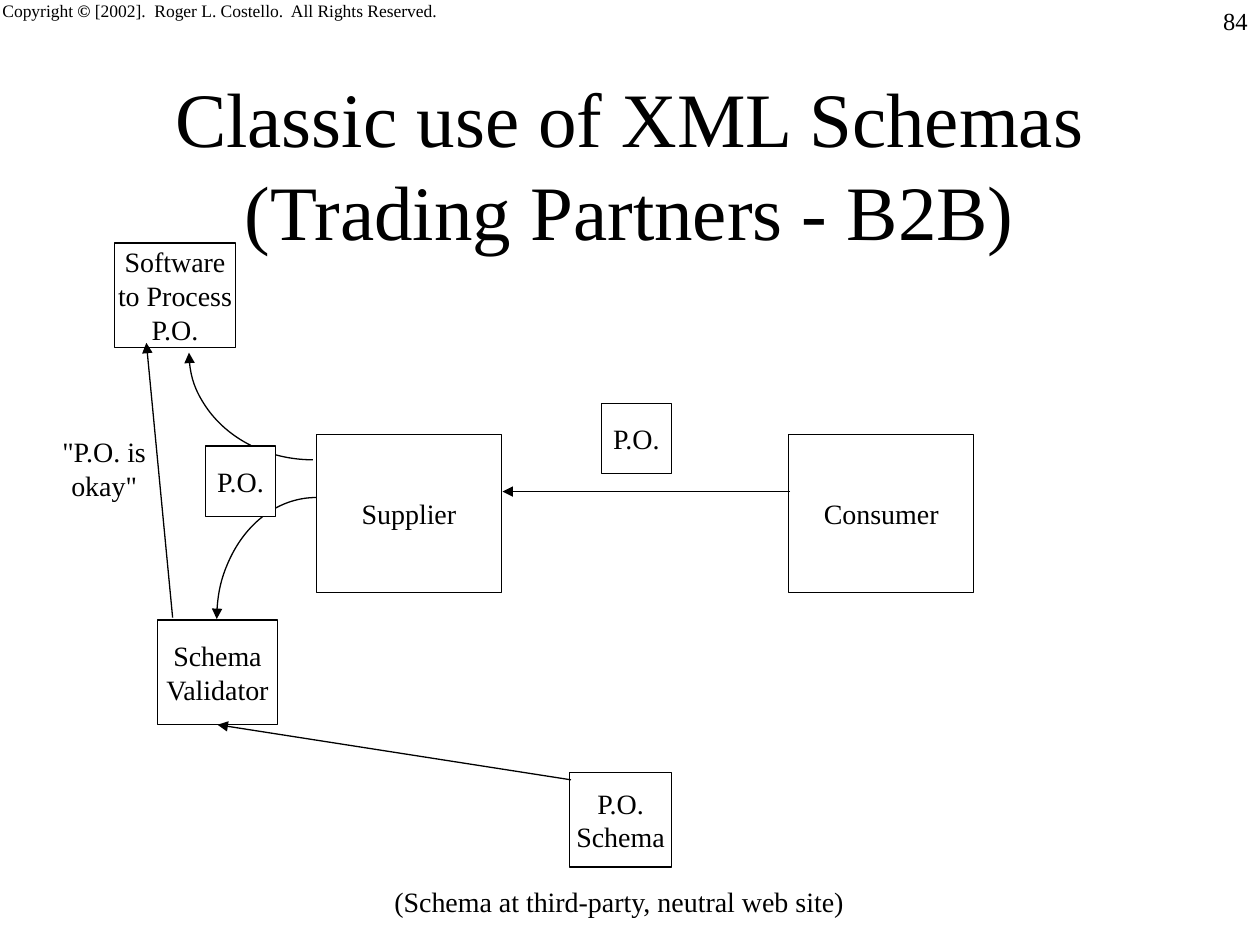
from lxml import etree
from pptx import Presentation
from pptx.dml.color import RGBColor
from pptx.enum.shapes import MSO_CONNECTOR, MSO_SHAPE
from pptx.enum.text import MSO_ANCHOR, PP_ALIGN
from pptx.oxml.ns import qn
from pptx.util import Cm, Pt

LEFT, CENTER, RIGHT = PP_ALIGN.LEFT, PP_ALIGN.CENTER, PP_ALIGN.RIGHT
TOP, MIDDLE = MSO_ANCHOR.TOP, MSO_ANCHOR.MIDDLE
BOTTOM_SITE = 2

FONT = "Times New Roman"
BLACK, WHITE = "000000", "FFFFFF"

# All places are in centimetres: left, top, width, height
TITLE = ("Classic use of XML Schemas", "(Trading Partners - B2B)")
TITLE_PLACE = (1.9, 1.7, 21.59, 3.18)

COPYRIGHT = [("Copyright ", False), ("©", True),
             (" [2002].  Roger L. Costello.  All Rights Reserved.", False)]
COPYRIGHT_PLACE = (0.05, 0, 9, 0.42)

PARTNER_SIZE = (3.73, 3.18)
ORDER_SIZE = (1.42, 1.42)
BOXES = {
    "supplier": (["Supplier"], (6.38, 8.76, *PARTNER_SIZE)),
    "consumer": (["Consumer"], (15.9, 8.76, *PARTNER_SIZE)),
    "sent order": (["P.O."], (12.12, 8.13, *ORDER_SIZE)),
    "received order": (["P.O."], (4.14, 8.99, *ORDER_SIZE)),
    "validator": (["Schema", "Validator"], (3.18, 12.5, 2.41, 2.11)),
    "schema": (["P.O.", "Schema"], (11.48, 15.57, 2.06, 1.91)),
    "software": (["Software", "to Process", "P.O."], (2.31, 4.9, 2.44, 2.11)),
}

# from, to, box whose bottom the arrow joins
ARROWS = [
    ((15.93, 9.91), (10.13, 9.91), None),
    ((11.51, 15.72), (4.37, 14.55), "validator"),
    ((3.48, 12.45), (2.95, 6.91), None),
]

# place of the whole ellipse, start and end angle, end with the arrowhead
ARCS = [
    ((4.37, 10.03, 4.01, 4.9), (180, 270), "headEnd"),
    ((3.81, 4.95, 5, 4.32), (90, 180), "tailEnd"),
]

# lines, place, size, alignment
LABELS = [
    (['"P.O. is', 'okay"'], (0.97, 8.64, 2.26, 1.63), 16, CENTER),
    (["(Schema at third-party, neutral web site)"], (7.7, 17.7, 9.6, 0.94), 16, LEFT),
    (["84"], (20.12, 0, 5.28, 1.27), 14, RIGHT),
]


def color(hex_code):
    return RGBColor.from_string(hex_code)


def cm(values):
    return [Cm(value) for value in values]


def add_run(paragraph, text, size, bold=False):
    run = paragraph.add_run()
    run.text = text
    run.font.name = FONT
    run.font.size = Pt(size)
    run.font.bold = bold
    run.font.color.rgb = color(BLACK)


def write_lines(frame, lines, size, align, anchor, wrap=False):
    """Give each line its own paragraph."""
    frame.word_wrap = wrap
    frame.vertical_anchor = anchor
    for index, line in enumerate(lines):
        paragraph = frame.add_paragraph() if index else frame.paragraphs[0]
        paragraph.alignment = align
        add_run(paragraph, line, size)


def draw_line(outlined, arrow_end=None):
    outlined.line.color.rgb = color(BLACK)
    outlined.line.width = Pt(0.75)
    if arrow_end:
        line_xml = outlined.line._get_or_add_ln()
        etree.SubElement(line_xml, qn(f"a:{arrow_end}"), type="triangle")


def add_arc(slide, place, angles, arrow_end):
    arc = slide.shapes.add_shape(MSO_SHAPE.ARC, *cm(place))
    arc.shadow.inherit = False
    arc.fill.background()
    for index, angle in enumerate(angles):
        arc.adjustments[index] = angle * 0.6  # 60000 units a degree, scaled by 100000
    draw_line(arc, arrow_end)


def add_box(slide, lines, place):
    box = slide.shapes.add_shape(MSO_SHAPE.RECTANGLE, *cm(place))
    box.shadow.inherit = False
    box.fill.solid()
    box.fill.fore_color.rgb = color(WHITE)
    draw_line(box)
    write_lines(box.text_frame, lines, 16, CENTER, MIDDLE)
    return box


def add_arrow(slide, start, end, target):
    arrow = slide.shapes.add_connector(MSO_CONNECTOR.STRAIGHT, *cm(start + end))
    draw_line(arrow, "tailEnd")
    etree.SubElement(arrow._element.spPr, qn("a:effectLst"))
    if target is not None:
        arrow.end_connect(target, BOTTOM_SITE)


def add_copyright(slide):
    frame = slide.shapes.add_textbox(*cm(COPYRIGHT_PLACE)).text_frame
    frame.margin_left = frame.margin_right = frame.margin_top = frame.margin_bottom = 0
    frame.word_wrap = True
    for text, bold in COPYRIGHT:
        add_run(frame.paragraphs[0], text, 10, bold)


def add_title(slide):
    frame = slide.shapes.add_textbox(*cm(TITLE_PLACE)).text_frame
    first, second = TITLE
    write_lines(frame, [first], 44, CENTER, MIDDLE, wrap=True)
    frame.paragraphs[0].add_line_break()
    add_run(frame.paragraphs[0], second, 44)


def main():
    deck = Presentation()
    deck.slide_width, deck.slide_height = Cm(25.4), Cm(19.05)
    slide = deck.slides.add_slide(deck.slide_layouts[6])

    add_copyright(slide)
    add_title(slide)
    for place, angles, arrow_end in ARCS:
        add_arc(slide, place, angles, arrow_end)
    boxes = {name: add_box(slide, *box) for name, box in BOXES.items()}
    for start, end, target in ARROWS:
        add_arrow(slide, start, end, boxes.get(target))
    for lines, place, size, align in LABELS:
        label = slide.shapes.add_textbox(*cm(place))
        write_lines(label.text_frame, lines, size, align, TOP, wrap=align == RIGHT)

    deck.save("out.pptx")


if __name__ == "__main__":
    main()
